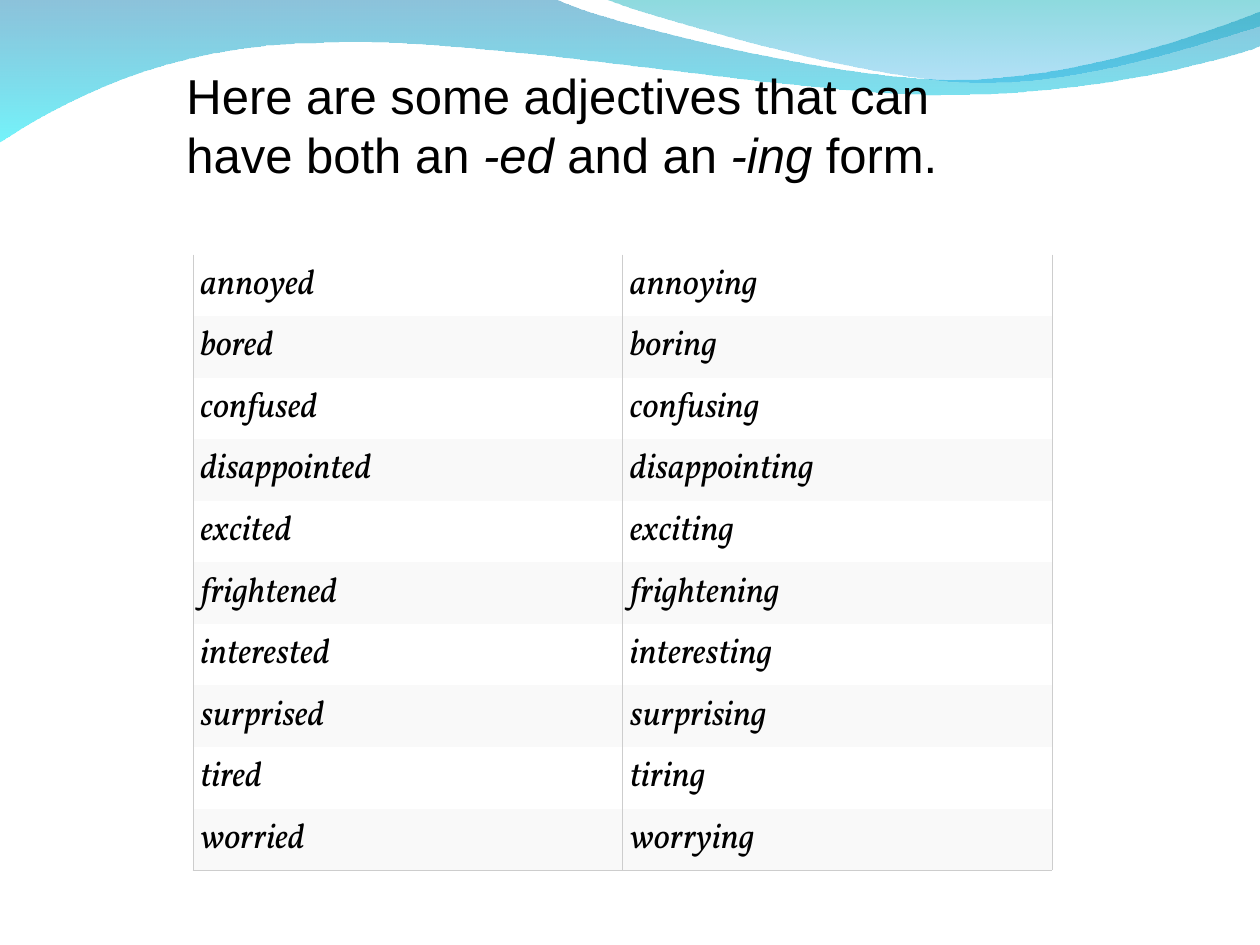
from lxml import etree
from pptx import Presentation
from pptx.dml.color import RGBColor
from pptx.enum import text
from pptx.oxml import ns
from pptx.util import Inches, Pt

THEME = {
    "ink": "000000",
    "band": "F9F9F9",
    "border": "CDCDCD",
    "back_wave": [("0079AF", 45), ("00EBF8", 55)],
    "front_wave": [("00ADB6", 45), ("009BE5", 30)],
    "title": {"name": "Arial", "size": Pt(28)},
    "word": {"name": "Vollkorn", "size": Pt(20), "italic": True},
}


def add_wave(s, start, segments, stops):
    points = [(Inches(x), Inches(y)) for seg in segments for x, y in zip(seg[::2], seg[1::2])]
    builder = s.shapes.build_freeform(Inches(start[0]), Inches(start[1]), scale=1.0)
    builder.add_line_segments(points, close=True)
    sp = builder.convert_to_shape()
    lines = iter(list(sp._element.iter(ns.qn("a:lnTo"))))
    for seg in segments:
        line = next(lines)
        if len(seg) == 6:
            line.tag_name = None
            curve = etree.Element(ns.qn("a:cubicBezTo"))
            line.addprevious(curve)
            for part in (line, next(lines), next(lines)):
                curve.append(part[0])
                part.getparent().remove(part)
    sp.shadow.inherit = False
    sp.line.fill.background()
    sp.fill.gradient()
    sp.fill.gradient_angle = 270
    for stop, position, (color, _) in zip(sp.fill.gradient_stops, (0, 1), stops):
        stop.color.rgb = RGBColor.from_string(color)
        stop.position = position
    for clr, (_, opacity) in zip(sp._element.spPr.iter(ns.qn("a:srgbClr")), stops):
        etree.SubElement(clr, ns.qn("a:alpha"), val=str(opacity * 1000))


def add_run(p, words, font):
    r = p.add_run()
    r.text = words
    for name, value in font.items():
        setattr(r.font, name, value)
    r.font.color.rgb = RGBColor.from_string(THEME["ink"])


prs = Presentation()
prs.slide_width, prs.slide_height = Inches(10), Inches(7.5)
s = prs.slides.add_slide(prs.slide_layouts[5])

add_wave(s, (0, -0.01), [
    (4.4, -0.01),
    (4.76, 0.17, 6.64, 0.63, 7.58, 0.63),
    (8.53, 0.63, 9.58, 0.26, 10, 0.09),
    (10.01, 0.36),
    (9.83, 0.44, 8.7, 0.76, 7.46, 0.75),
    (6.22, 0.75, 3.82, 0.28, 2.57, 0.34),
    (1.29, 0.35, 0.46, 0.83, -0.01, 1.13),
], THEME["back_wave"])
add_wave(s, (4.79, -0.01), [
    (5.09, 0.11, 6.82, 0.62, 7.69, 0.65),
    (8.56, 0.69, 9.61, 0.32, 10, 0.21),
    (10, 0),
], THEME["front_wave"])

adjectives = [
    ("annoyed", "annoying"),
    ("bored", "boring"),
    ("confused", "confusing"),
    ("disappointed", "disappointing"),
    ("excited", "exciting"),
    ("frightened", "frightening"),
    ("interested", "interesting"),
    ("surprised", "surprising"),
    ("tired", "tiring"),
    ("worried", "worrying"),
]
frame = s.shapes.add_table(len(adjectives), 2, Inches(1.53), Inches(2.02), Inches(6.82), Inches(4.17))
table = frame.table
table.first_row = table.horz_banding = False
frame._element.find(".//" + ns.qn("a:tableStyleId")).text = "{2D5ABB26-0587-4C30-8999-92F81FD0307C}"
cell_format = {
    "vertical_anchor": text.MSO_ANCHOR.MIDDLE,
    "margin_left": Inches(0.06),
    "margin_right": Inches(0.06),
    "margin_top": Inches(0.05),
    "margin_bottom": Inches(0.05),
}
for row, pair in enumerate(adjectives):
    for col, word in enumerate(pair):
        cell = table.cell(row, col)
        for name, value in cell_format.items():
            setattr(cell, name, value)
        sides = ["lnL", "lnR"] + (["lnB"] if row == len(adjectives) - 1 else [])
        for side in sides:
            ln = etree.SubElement(cell._tc.get_or_add_tcPr(), ns.qn("a:" + side), w=str(Pt(0.34)))
            solid = etree.SubElement(ln, ns.qn("a:solidFill"))
            etree.SubElement(solid, ns.qn("a:srgbClr"), val=THEME["border"])
        if row % 2:
            cell.fill.solid()
            cell.fill.fore_color.rgb = RGBColor.from_string(THEME["band"])
        else:
            cell.fill.background()
        add_run(cell.text_frame.paragraphs[0], word, THEME["word"])

title = s.shapes.title
title.left, title.top, title.width, title.height = (Inches(v) for v in (1.38, 0.47, 6.54, 1.04))
s.shapes._spTree.append(title._element)
tf = title.text_frame
tf.word_wrap = True
tf.auto_size = text.MSO_AUTO_SIZE.SHAPE_TO_FIT_TEXT
tf.vertical_anchor = text.MSO_ANCHOR.MIDDLE
p = tf.paragraphs[0]
p.alignment = text.PP_ALIGN.LEFT
for words, italic in [
    ("Here are some adjectives that can have both an ", False),
    ("-ed ", True),
    ("and an ", False),
    ("-ing ", True),
    ("form.", False),
]:
    add_run(p, words, {**THEME["title"], "italic": italic})

prs.save("out.pptx")
